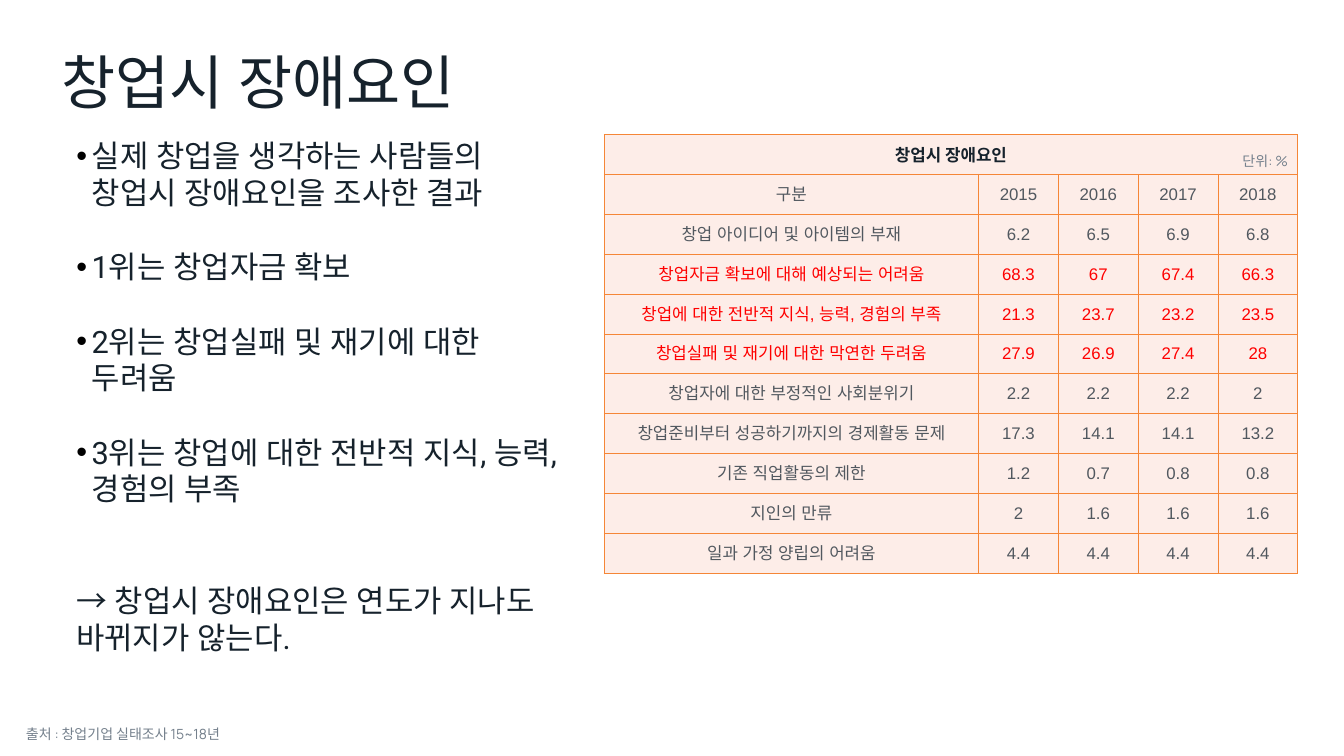
from lxml import etree
from pptx import Presentation
from pptx.dml.color import RGBColor
from pptx.enum.text import MSO_ANCHOR, PP_ALIGN
from pptx.oxml.ns import qn
from pptx.util import Pt

EMU_PER_PX = 12700  # 1920 x 1080 px slide, 72 px to the inch
MIDDLE, CENTER = MSO_ANCHOR.MIDDLE, PP_ALIGN.CENTER

COLORS = {
    "ink": "16222C",
    "muted": "74808C",
    "cell_text": "51585F",
    "highlight": "FF0000",
    "cell_fill": "FDEDE8",
    "border": "F58637",
    "bullet": "000000",
}

TITLE = "창업시 장애요인"
# Text, space before in points, bulleted
FINDINGS = [
    ("실제 창업을 생각하는 사람들의 창업시 장애요인을 조사한 결과", 0, True),
    ("1위는 창업자금 확보", 53, True),
    ("2위는 창업실패 및 재기에 대한 두려움", 53, True),
    ("3위는 창업에 대한 전반적 지식, 능력, 경험의 부족", 53, True),
    ("→ 창업시 장애요인은 연도가 지나도 바뀌지가 않는다.", 106, False),
]
OBSTACLES = [
    ("구분", "2015", "2016", "2017", "2018"),
    ("창업 아이디어 및 아이템의 부재", "6.2", "6.5", "6.9", "6.8"),
    ("창업자금 확보에 대해 예상되는 어려움", "68.3", "67", "67.4", "66.3"),
    ("창업에 대한 전반적 지식, 능력, 경험의 부족", "21.3", "23.7", "23.2", "23.5"),
    ("창업실패 및 재기에 대한 막연한 두려움", "27.9", "26.9", "27.4", "28"),
    ("창업자에 대한 부정적인 사회분위기", "2.2", "2.2", "2.2", "2"),
    ("창업준비부터 성공하기까지의 경제활동 문제", "17.3", "14.1", "14.1", "13.2"),
    ("기존 직업활동의 제한", "1.2", "0.7", "0.8", "0.8"),
    ("지인의 만류", "2", "1.6", "1.6", "1.6"),
    ("일과 가정 양립의 어려움", "4.4", "4.4", "4.4", "4.4"),
]
TOP_OBSTACLE_ROWS = (2, 3, 4)
COLUMN_WIDTHS = (535, 114, 114, 114, 114)
ROW_HEIGHT = 57


def px(length):
    return length * EMU_PER_PX


def style_paragraph(para, font_name, size, color, bold=False):
    font = para.font
    font.name, font.size, font.bold = font_name, Pt(size), bold
    font.color.rgb = RGBColor.from_string(COLORS[color])
    # Hangul takes the East Asian typeface
    run_defaults = para._p.pPr.find(qn("a:defRPr"))
    etree.SubElement(run_defaults, qn("a:ea"), typeface=font_name)


def set_margins(target, left, top, right, bottom):
    target.margin_left, target.margin_top = px(left), px(top)
    target.margin_right, target.margin_bottom = px(right), px(bottom)


def add_text_box(page, at, margins):
    box = page.shapes.add_textbox(*map(px, at))
    box.text_frame.word_wrap = True
    set_margins(box.text_frame, *margins)
    return box.text_frame


def add_label(page, text, at, margins, font_name, size, color):
    para = add_text_box(page, at, margins).paragraphs[0]
    para.text = text
    style_paragraph(para, font_name, size, color)


def add_bullet(para, indent):
    properties = para._p.pPr
    properties.set("marL", str(px(indent)))
    properties.set("indent", str(px(-indent)))
    bullet_color = etree.Element(qn("a:buClr"))
    etree.SubElement(bullet_color, qn("a:srgbClr"), val=COLORS["bullet"])
    run_defaults = properties.find(qn("a:defRPr"))
    run_defaults.addprevious(bullet_color)
    run_defaults.addprevious(etree.Element(qn("a:buFont"), typeface="Arial"))
    run_defaults.addprevious(etree.Element(qn("a:buChar"), char="•"))


def add_findings(page):
    frame = add_text_box(page, (102, 192, 736, 754), (7, 4, 20, 4))
    for index, (text, gap, bulleted) in enumerate(FINDINGS):
        para = frame.add_paragraph() if index else frame.paragraphs[0]
        para.text = text
        para.space_before = Pt(gap)
        style_paragraph(para, "Roboto", 44, "ink")
        if bulleted:
            add_bullet(para, 22)


def add_borders(cell):
    properties = cell._tc.get_or_add_tcPr()
    for index, side in enumerate(("lnL", "lnR", "lnT", "lnB")):
        line = etree.Element(qn(f"a:{side}"), w=str(px(1)))
        fill = etree.SubElement(line, qn("a:solidFill"))
        etree.SubElement(fill, qn("a:srgbClr"), val=COLORS["border"])
        properties.insert(index, line)


def format_cell(cell):
    cell.fill.solid()
    cell.fill.fore_color.rgb = RGBColor.from_string(COLORS["cell_fill"])
    cell.vertical_anchor = MIDDLE
    set_margins(cell, 1, 1, 1, 0)
    add_borders(cell)


def write_cell(cell, text, font_name, color, bold=False):
    para = cell.text_frame.paragraphs[0]
    para.text = text
    para.alignment = CENTER
    style_paragraph(para, font_name, 24, color, bold)


def add_obstacle_table(page):
    row_count = len(OBSTACLES) + 1
    size = (sum(COLUMN_WIDTHS), ROW_HEIGHT * row_count)
    table = page.shapes.add_table(
        row_count, len(COLUMN_WIDTHS), px(863), px(192), *map(px, size)
    ).table
    table.first_row = table.horz_banding = False
    for column, width in zip(table.columns, COLUMN_WIDTHS):
        column.width = px(width)
    for row in table.rows:
        row.height = px(ROW_HEIGHT)
    for cell in table.iter_cells():
        format_cell(cell)

    # Heading across all columns
    heading = table.cell(0, 0)
    heading.merge(table.cell(0, len(COLUMN_WIDTHS) - 1))
    write_cell(heading, TITLE, "Noto Sans CJK KR", "ink", bold=True)

    # Years and percentages
    for row_index, values in enumerate(OBSTACLES):
        color = "highlight" if row_index in TOP_OBSTACLE_ROWS else "cell_text"
        for column_index, value in enumerate(values):
            write_cell(table.cell(row_index + 1, column_index), value, "Arial", color)


def main():
    deck = Presentation()
    deck.slide_width, deck.slide_height = px(1920), px(1080)
    page = deck.slides.add_slide(deck.slide_layouts[6])

    add_obstacle_table(page)
    add_label(page, TITLE, (85, 62, 834, 125), (3, 3, 3, 3), "Roboto", 84, "ink")
    add_findings(page)

    # Source and unit notes
    notes = [
        ("출처 : 창업기업 실태조사 15~18년", (30, 1033, 321, 32)),
        ("단위: %", (1768, 214, 221, 32)),
    ]
    for text, at in notes:
        add_label(page, text, at, (7, 4, 7, 4), "Manrope", 20, "muted")

    deck.save("out.pptx")


if __name__ == "__main__":
    main()
